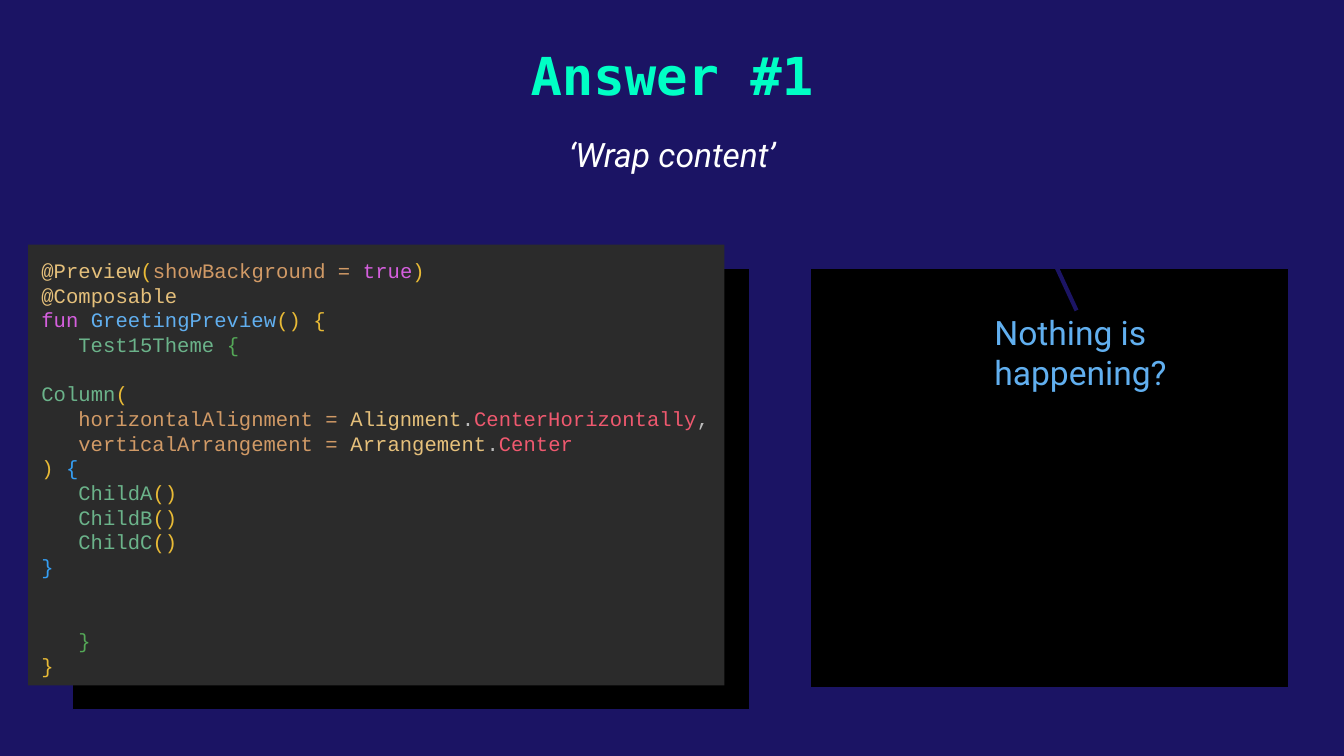
"""Build the Answer #1 slide with a code panel and a callout."""
import pptx
import pptx.dml.color
import pptx.enum.shapes
import pptx.enum.text
import pptx.oxml.ns
import pptx.util

Inches, Pt = pptx.util.Inches, pptx.util.Pt
ALIGN = pptx.enum.text.PP_ALIGN
ANCHOR = pptx.enum.text.MSO_ANCHOR

COLORS = {
    "navy": "1B1464", "black": "000000", "panel": "2B2B2B", "mint": "00FFC5",
    "white": "FFFFFF", "sand": "E5C07B", "gold": "E8BA36", "orange": "D19A66",
    "violet": "D55FDE", "blue": "61AFEF", "teal": "6BB38A", "green": "54A857",
    "gray": "BBBBBB", "red": "EF596F", "azure": "359FF4",
}
SLIDE_WIDTH = 10
SLIDE_HEIGHT = SLIDE_WIDTH * 9 / 16
LINE_PITCH = 13.2
INDENT = Inches(0.275)

PANELS = [(6.03, 2, 3.56, 3.12), (0.54, 2, 5.04, 3.28)]
CODE_BOX = (0.21, 1.82, 5.18, 3.28)
TITLE = ("Answer #1", (2.98, 0.22, 4.04, 0.73))
CALLOUT = ("Nothing is happening?", (7.3, 2.22, 1.91, 0.73))
SUBTITLE = ("‘Wrap content’", (1.59, 0.9, 6.82, 0.5))
ARROW = (8.01, 2.31, 7.42, 1.03)

# Each code line: indent level, empty lines above, coloured runs.
CODE = [
    (0, 0, [("@Preview", "sand"), ("(", "gold"), ("showBackground = ", "orange"),
            ("true", "violet"), (")", "gold")]),
    (0, 0, [("@Composable", "sand")]),
    (0, 0, [("fun ", "violet"), ("GreetingPreview", "blue"), ("() {", "gold")]),
    (1, 0, [("Test15Theme ", "teal"), ("{", "green")]),
    (0, 1, [("Column", "teal"), ("(", "gold")]),
    (1, 0, [("horizontalAlignment = ", "orange"), ("Alignment", "sand"), (".", "gray"),
            ("CenterHorizontally", "red"), (",", "gray")]),
    (1, 0, [("verticalArrangement = ", "orange"), ("Arrangement", "sand"), (".", "gray"),
            ("Center", "red")]),
    (0, 0, [(") ", "gold"), ("{", "azure")]),
    *[(1, 0, [(child, "teal"), ("()", "gold")]) for child in ("ChildA", "ChildB", "ChildC")],
    (0, 0, [("}", "azure")]),
    (1, 2, [("}", "green")]),
    (0, 0, [("}", "gold")]),
]


def color(name):
    return pptx.dml.color.RGBColor.from_string(COLORS[name])


def lengths(values):
    return [Inches(value) for value in values]


def add_run(paragraph, text, font, size, fill, bold=False, italic=False):
    run = paragraph.add_run()
    run.text = text
    run.font.name, run.font.size = font, Pt(size)
    run.font.bold, run.font.italic = bold, italic
    run.font.color.rgb = color(fill)


def set_frame(shape):
    frame = shape.text_frame
    frame.word_wrap = True
    frame.vertical_anchor = ANCHOR.TOP
    frame.margin_left = frame.margin_right = Inches(0.1)
    frame.margin_top = frame.margin_bottom = Inches(0.1)
    return frame


def add_panel(slide, box, fill):
    shape = slide.shapes.add_shape(pptx.enum.shapes.MSO_SHAPE.RECTANGLE, *lengths(box))
    shape.shadow.inherit = False
    shape.fill.solid()
    shape.fill.fore_color.rgb = color(fill)
    shape.line.fill.background()
    return shape


def add_outlined_panel(slide, box):
    shape = add_panel(slide, box, "black")
    shape.line.color.rgb = color("navy")
    shape.line.width = Pt(0.75)


def add_code(slide):
    frame = set_frame(add_panel(slide, CODE_BOX, "panel"))
    for index, (level, gap, runs) in enumerate(CODE):
        paragraph = frame.add_paragraph() if index else frame.paragraphs[0]
        paragraph.alignment = ALIGN.LEFT
        paragraph.line_spacing = Pt(LINE_PITCH)
        paragraph.space_before = Pt(gap * LINE_PITCH)
        paragraph._p.get_or_add_pPr().set("marL", str(level * INDENT))
        for text, fill in runs:
            add_run(paragraph, text, "Courier New", 11, fill)


def add_title(slide):
    text, box = TITLE
    title = slide.shapes.title
    title.left, title.top, title.width, title.height = lengths(box)
    paragraph = set_frame(title).paragraphs[0]
    paragraph.alignment = ALIGN.CENTER
    add_run(paragraph, text, "DejaVu Sans Mono", 28, "mint", bold=True)


def add_label(slide, label, fill, alignment, italic=False):
    text, box = label
    paragraph = set_frame(slide.shapes.add_textbox(*lengths(box))).paragraphs[0]
    paragraph.alignment = alignment
    add_run(paragraph, text, "Roboto", 18, fill, italic=italic)


def add_arrow(slide):
    arrow = slide.shapes.add_connector(
        pptx.enum.shapes.MSO_CONNECTOR.STRAIGHT, *lengths(ARROW))
    arrow.line.color.rgb = color("navy")
    arrow.line.width = Pt(2.25)
    qualified = pptx.oxml.ns.qn
    line = arrow.line._get_or_add_ln()
    line.append(line.makeelement(qualified("a:tailEnd"), {"type": "triangle"}))
    properties = arrow._element.spPr
    properties.append(properties.makeelement(qualified("a:effectLst"), {}))


def main():
    presentation = pptx.Presentation()
    presentation.slide_width = Inches(SLIDE_WIDTH)
    presentation.slide_height = Inches(SLIDE_HEIGHT)
    slide = presentation.slides.add_slide(presentation.slide_layouts[5])
    slide.background.fill.solid()
    slide.background.fill.fore_color.rgb = color("navy")
    for box in PANELS:
        add_outlined_panel(slide, box)
    add_code(slide)
    add_title(slide)
    add_label(slide, CALLOUT, "blue", ALIGN.LEFT)
    add_arrow(slide)
    add_label(slide, SUBTITLE, "white", ALIGN.CENTER, italic=True)
    presentation.save("out.pptx")


if __name__ == "__main__":
    main()
